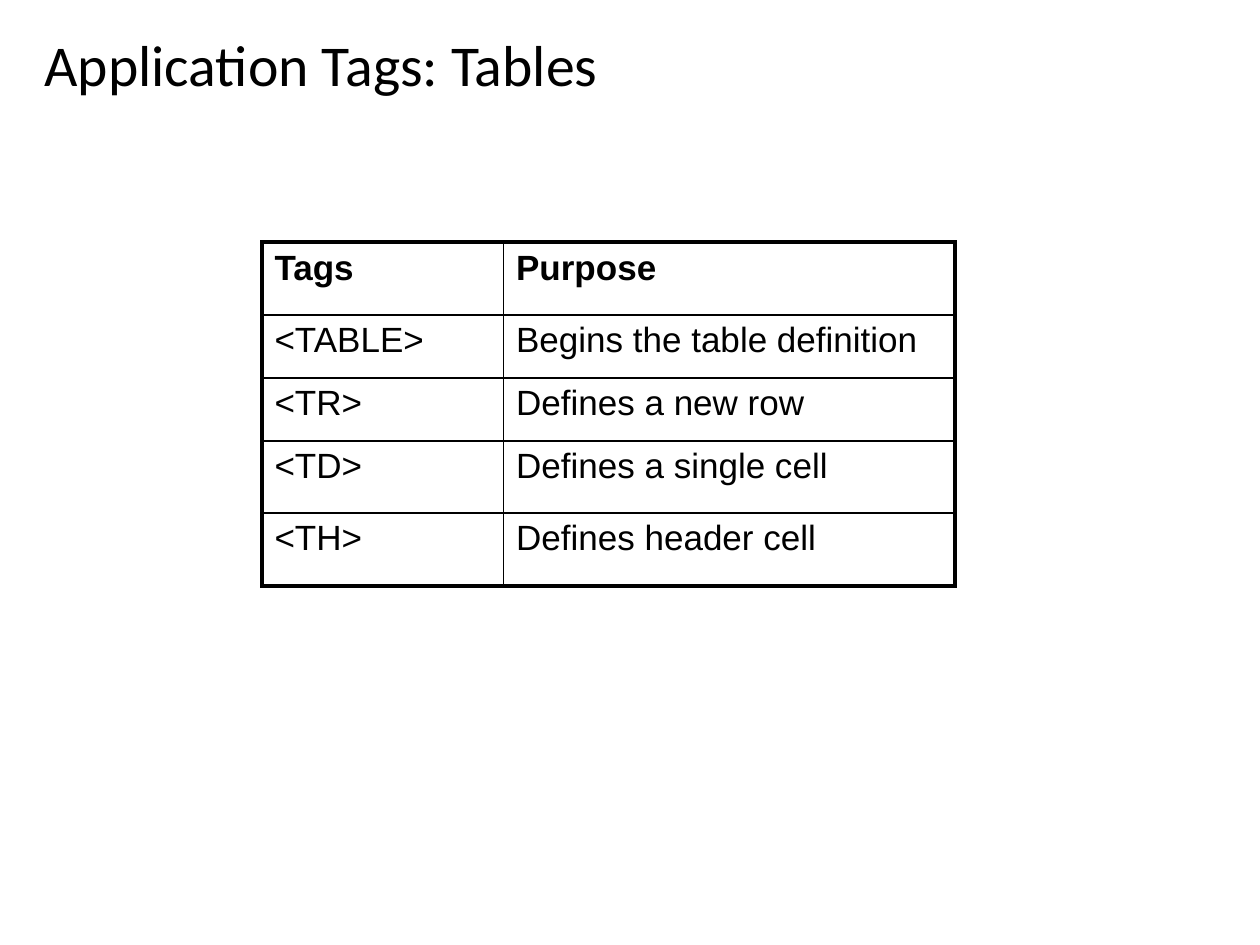
"""Build a slide that lists the HTML table tags and their purpose."""
from lxml import etree
from pptx import Presentation
from pptx.dml.color import RGBColor
from pptx.enum.text import MSO_ANCHOR, PP_ALIGN
from pptx.oxml.ns import qn
from pptx.util import Cm, Pt

LEFT = PP_ALIGN.LEFT
MIDDLE = MSO_ANCHOR.MIDDLE
TOP = MSO_ANCHOR.TOP
COLORS = {"ink": "000000"}
OUTER_LINE = Pt(2.25)
INNER_LINE = Pt(1)
ROWS = [
    ("Tags", "Purpose"),
    ("<TABLE>", "Begins the table definition"),
    ("<TR>", "Defines a new row"),
    ("<TD>", "Defines a single cell"),
    ("<TH>", "Defines header cell"),
]
COLUMN_WIDTHS = [4.87, 9.1]
ROW_HEIGHTS = [1.47, 1.27, 1.27, 1.45, 1.47]


def format_text(para, font_name, size, bold=False):
    para.alignment = LEFT
    for span in para.runs:
        span.font.name = font_name
        span.font.size = Pt(size)
        span.font.bold = bold
        span.font.color.rgb = RGBColor.from_string(COLORS["ink"])


def add_borders(cell, widths):
    properties = cell._tc.get_or_add_tcPr()
    for position, (side, width) in enumerate(widths.items()):
        line = etree.Element(qn(f"a:{side}"), w=str(width))
        fill = etree.SubElement(line, qn("a:solidFill"))
        etree.SubElement(fill, qn("a:srgbClr"), val=COLORS["ink"])
        properties.insert(position, line)


deck = Presentation()
deck.slide_width = Cm(25.4)
deck.slide_height = Cm(19.05)
page = deck.slides.add_slide(deck.slide_layouts[5])

title = page.shapes.title
title.left, title.top = Cm(0.64), Cm(0.61)
title.width, title.height = Cm(20.75), Cm(1.52)
title.text_frame.text = "Application Tags: Tables"
title.text_frame.vertical_anchor = MIDDLE
title_para = title.text_frame.paragraphs[0]
title_para.line_spacing = 0.9
format_text(title_para, "Calibri", 33)

frame = page.shapes.add_table(
    len(ROWS), len(COLUMN_WIDTHS), Cm(5.28), Cm(4.88),
    Cm(sum(COLUMN_WIDTHS)), Cm(sum(ROW_HEIGHTS)),
)
table = frame.table
table.horz_banding = False
for column, width in zip(table.columns, COLUMN_WIDTHS):
    column.width = Cm(width)
for row, height in zip(table.rows, ROW_HEIGHTS):
    row.height = Cm(height)

last_row = len(ROWS) - 1
last_column = len(COLUMN_WIDTHS) - 1
for row_index, texts in enumerate(ROWS):
    for column_index, text in enumerate(texts):
        cell = table.cell(row_index, column_index)
        cell.text_frame.text = text
        cell.vertical_anchor = TOP
        cell.fill.background()
        format_text(cell.text_frame.paragraphs[0], "Arial", 20, row_index == 0)
        add_borders(cell, {
            "lnL": OUTER_LINE if column_index == 0 else INNER_LINE,
            "lnR": OUTER_LINE if column_index == last_column else INNER_LINE,
            "lnT": OUTER_LINE if row_index == 0 else INNER_LINE,
            "lnB": OUTER_LINE if row_index == last_row else INNER_LINE,
        })

deck.save("out.pptx")
